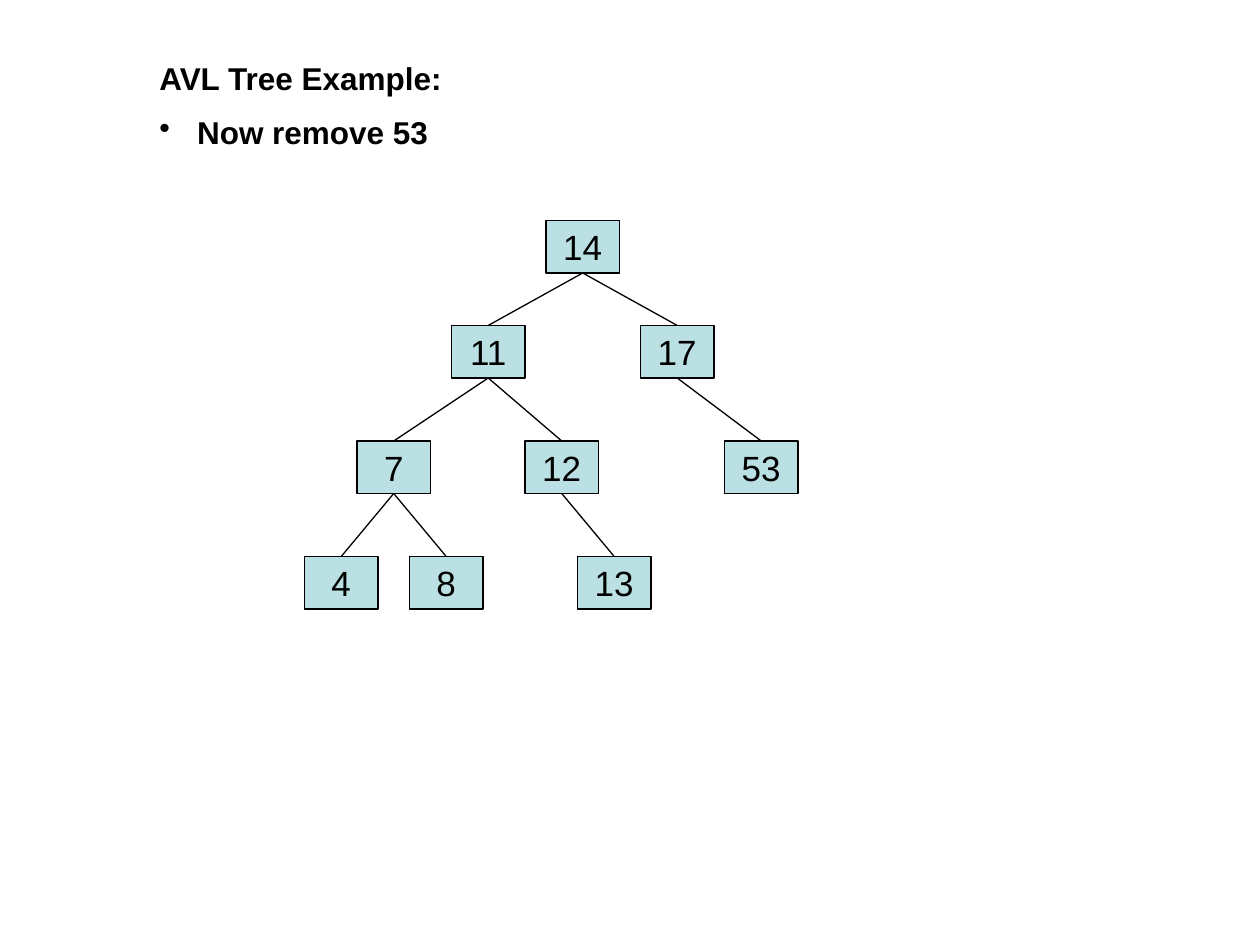
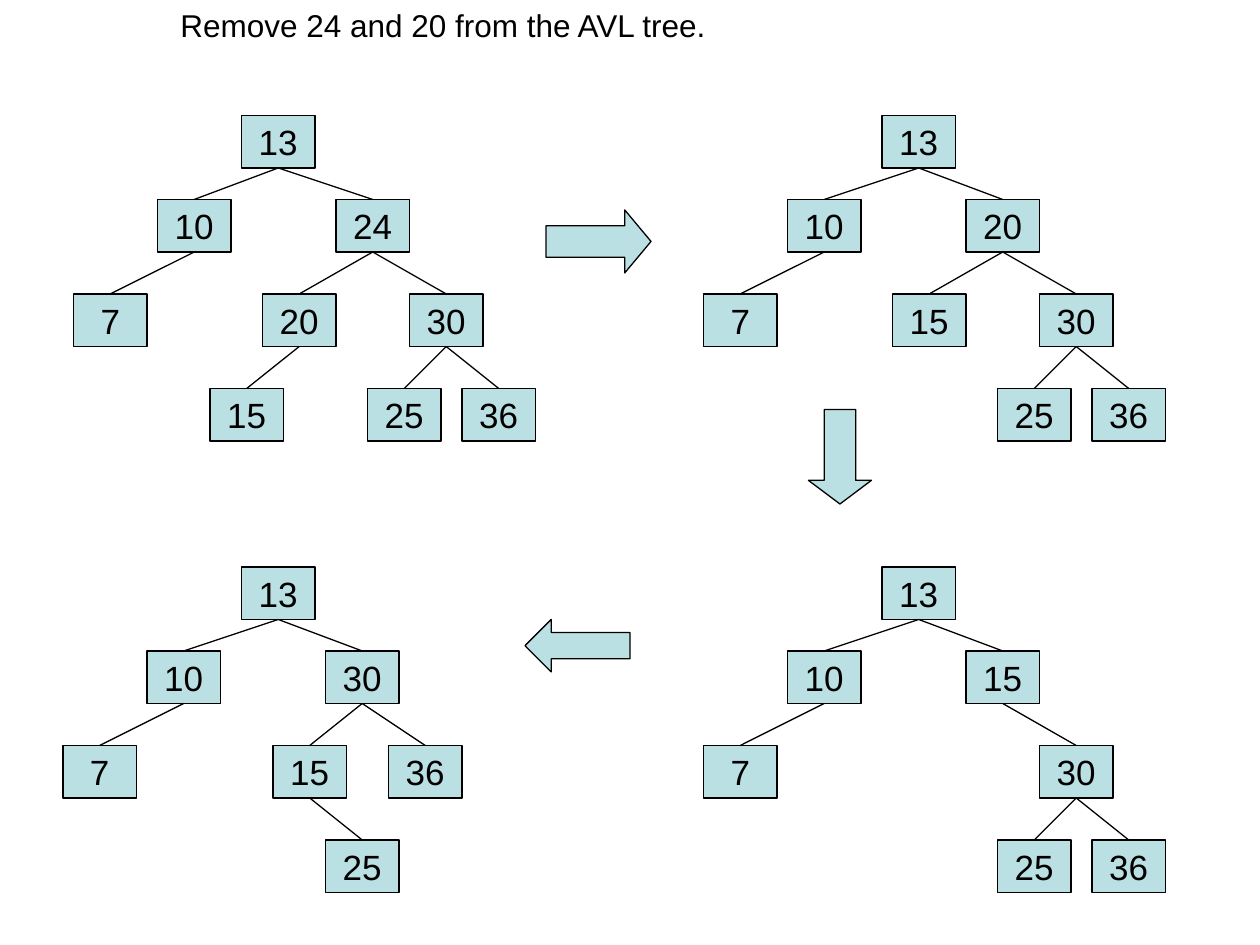
"""Builds two slides on removing nodes from AVL trees."""
from lxml import etree
from pptx import Presentation
from pptx.dml.color import RGBColor
from pptx.enum.shapes import MSO_CONNECTOR, MSO_SHAPE
from pptx.enum.text import MSO_ANCHOR, PP_ALIGN
from pptx.oxml.ns import qn
from pptx.util import Cm, Pt

RECT = MSO_SHAPE.RECTANGLE
RIGHT, DOWN, LEFT = MSO_SHAPE.RIGHT_ARROW, MSO_SHAPE.DOWN_ARROW, MSO_SHAPE.LEFT_ARROW
STRAIGHT = MSO_CONNECTOR.STRAIGHT
CENTER, MIDDLE = PP_ALIGN.CENTER, MSO_ANCHOR.MIDDLE

FONT, INK, FILL = "Arial", "000000", "BBE0E3"
GRID = 2.54 / 12
NODE_W, NODE_H = 7, 5
TOP_SITE, BOTTOM_SITE = 0, 2
WIDE_LEVELS = (0, 10, 21, 32)
TIGHT_LEVELS = (0, 8, 17, 26)

# Each node: value, parent value, left edge in grid steps, level
EXAMPLE_TREE = [
    (14, None, 52, 0), (11, 14, 43, 1), (17, 14, 61, 1),
    (7, 11, 34, 2), (12, 11, 50, 2), (53, 17, 69, 2),
    (4, 7, 29, 3), (8, 7, 39, 3), (13, 12, 55, 3),
]
START_TREE = [
    (13, None, 23, 0), (10, 13, 15, 1), (24, 13, 32, 1),
    (7, 10, 7, 2), (20, 24, 25, 2), (30, 24, 39, 2),
    (15, 20, 20, 3), (25, 30, 35, 3), (36, 30, 44, 3),
]
WITHOUT_24 = [
    (13, None, 84, 0), (10, 13, 75, 1), (20, 13, 92, 1),
    (7, 10, 67, 2), (15, 20, 85, 2), (30, 20, 99, 2),
    (25, 30, 95, 3), (36, 30, 104, 3),
]
WITHOUT_20 = [
    (13, None, 84, 0), (10, 13, 75, 1), (15, 13, 92, 1),
    (7, 10, 67, 2), (30, 15, 99, 2),
    (25, 30, 95, 3), (36, 30, 104, 3),
]
BALANCED = [
    (13, None, 23, 0), (10, 13, 14, 1), (30, 13, 31, 1),
    (7, 10, 6, 2), (15, 30, 26, 2), (36, 30, 37, 2),
    (25, 15, 31, 3),
]

SLIDES = [
    {
        "text_box": (14, 5, 94, 10),
        "lines": [("AVL Tree Example:", True, 0, False),
                  ("Now remove 53", True, 0.76, True)],
        "levels": WIDE_LEVELS,
        "trees": [(21, EXAMPLE_TREE)],
        "arrows": [],
    },
    {
        "text_box": (10, 0, 98, 5),
        "lines": [("Remove 24 and 20 from the AVL tree.", False, 1.27, False)],
        "levels": TIGHT_LEVELS,
        "trees": [(11, START_TREE), (11, WITHOUT_24),
                  (54, WITHOUT_20), (54, BALANCED)],
        "arrows": [(RIGHT, (52, 20, 10, 6), 0.417),
                   (DOWN, (77, 39, 6, 9), 0.375),
                   (LEFT, (50, 59, 10, 5), 0.5)],
    },
]


def rgb(color):
    """Turn a hex string into a colour."""
    return RGBColor.from_string(color)


def place(box):
    """Turn grid steps into lengths."""
    return [Cm(n * GRID) for n in box]


def add_run(p, text, size, bold=False):
    """Add one run in the shared font."""
    r = p.add_run()
    r.text = text
    r.font.name, r.font.size, r.font.bold = FONT, Pt(size), bold
    r.font.color.rgb = rgb(INK)


def add_filled(s, kind, box):
    """Add a filled, outlined preset shape."""
    sp = s.shapes.add_shape(kind, *place(box))
    sp.shadow.inherit = False
    sp.fill.solid()
    sp.fill.fore_color.rgb = rgb(FILL)
    sp.line.color.rgb = rgb(INK)
    sp.line.width = Pt(0.75)
    return sp


def add_heading(s, box, lines):
    """Add the heading lines, indented or bulleted as asked."""
    tf = s.shapes.add_textbox(*place(box)).text_frame
    tf.word_wrap = True
    for i, (text, bold, indent, bullet) in enumerate(lines):
        p = tf.add_paragraph() if i else tf.paragraphs[0]
        if i:
            p.space_before = Pt(9.6)
        add_run(p, text, 18, bold)
        pPr = p._p.get_or_add_pPr()
        pPr.set("marL", str(Cm(indent)))
        if bullet:
            pPr.set("indent", str(-Cm(indent)))
            etree.SubElement(pPr, qn("a:buChar")).set("char", "•")


def add_node(s, value, left, top):
    """Add one tree node."""
    sp = add_filled(s, RECT, (left, top, NODE_W, NODE_H))
    tf = sp.text_frame
    tf.word_wrap = False
    tf.vertical_anchor = MIDDLE
    p = tf.paragraphs[0]
    p.alignment = CENTER
    add_run(p, str(value), 20)
    return sp


def add_edge(s, parent, child):
    """Connect the bottom of a parent to the top of a child."""
    c = s.shapes.add_connector(STRAIGHT, 0, 0, 0, 0)
    c.begin_connect(parent, BOTTOM_SITE)
    c.end_connect(child, TOP_SITE)
    c.line.color.rgb = rgb(INK)
    c.line.width = Pt(0.75)
    etree.SubElement(c._element.spPr, qn("a:effectLst"))


def add_tree(s, top, levels, tree):
    """Add the nodes of a tree and the edges between them."""
    nodes = {}
    for value, parent, left, level in tree:
        nodes[value] = add_node(s, value, left, top + levels[level])
        if parent is not None:
            add_edge(s, nodes[parent], nodes[value])


def main():
    """Build and save the presentation."""
    prs = Presentation()
    prs.slide_width, prs.slide_height = Cm(25.4), Cm(19.05)
    for content in SLIDES:
        s = prs.slides.add_slide(prs.slide_layouts[6])
        add_heading(s, content["text_box"], content["lines"])
        for top, tree in content["trees"]:
            add_tree(s, top, content["levels"], tree)
        for kind, box, head in content["arrows"]:
            sp = add_filled(s, kind, box)
            sp.adjustments[0], sp.adjustments[1] = 0.5, head
    prs.save("out.pptx")


if __name__ == "__main__":
    main()
